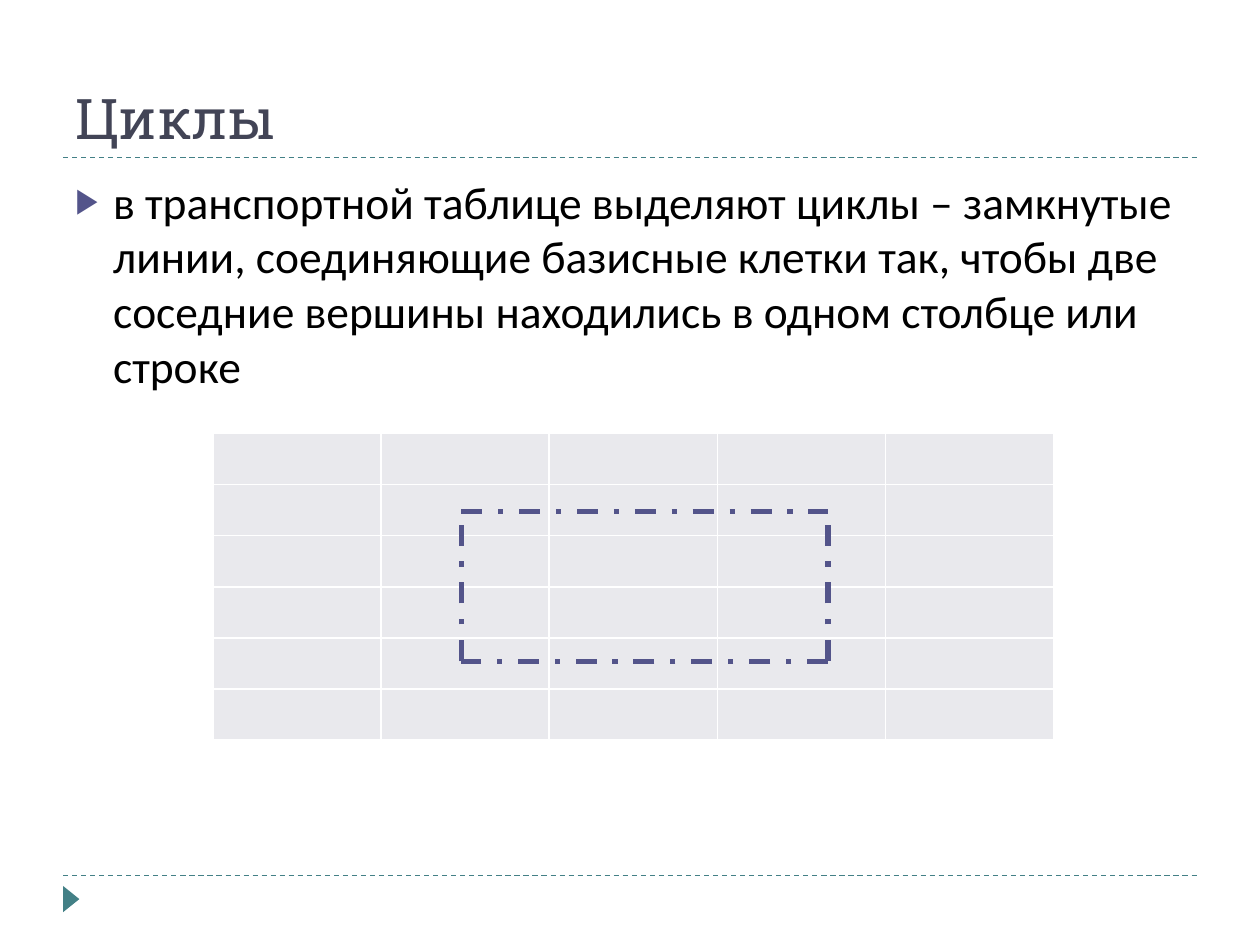
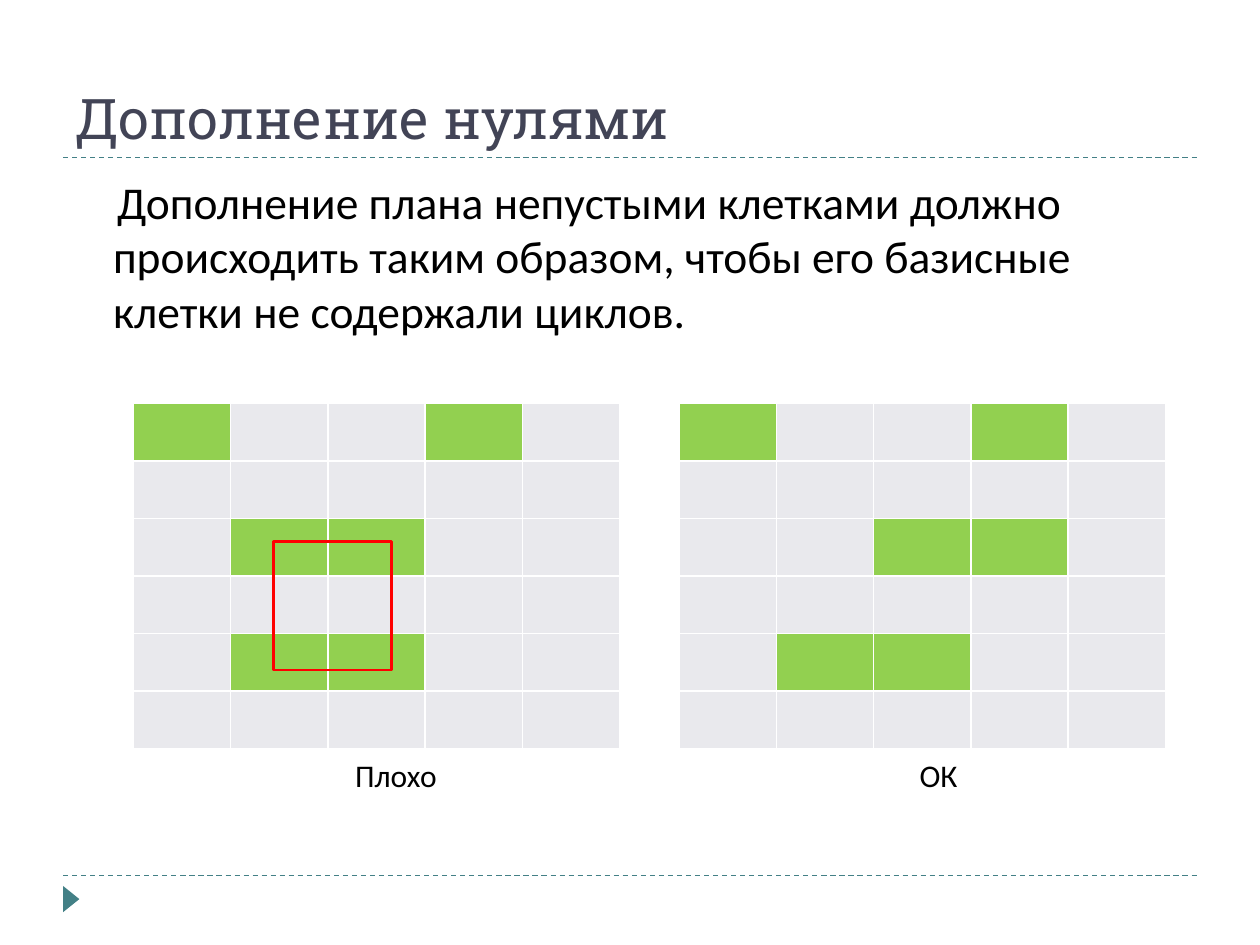
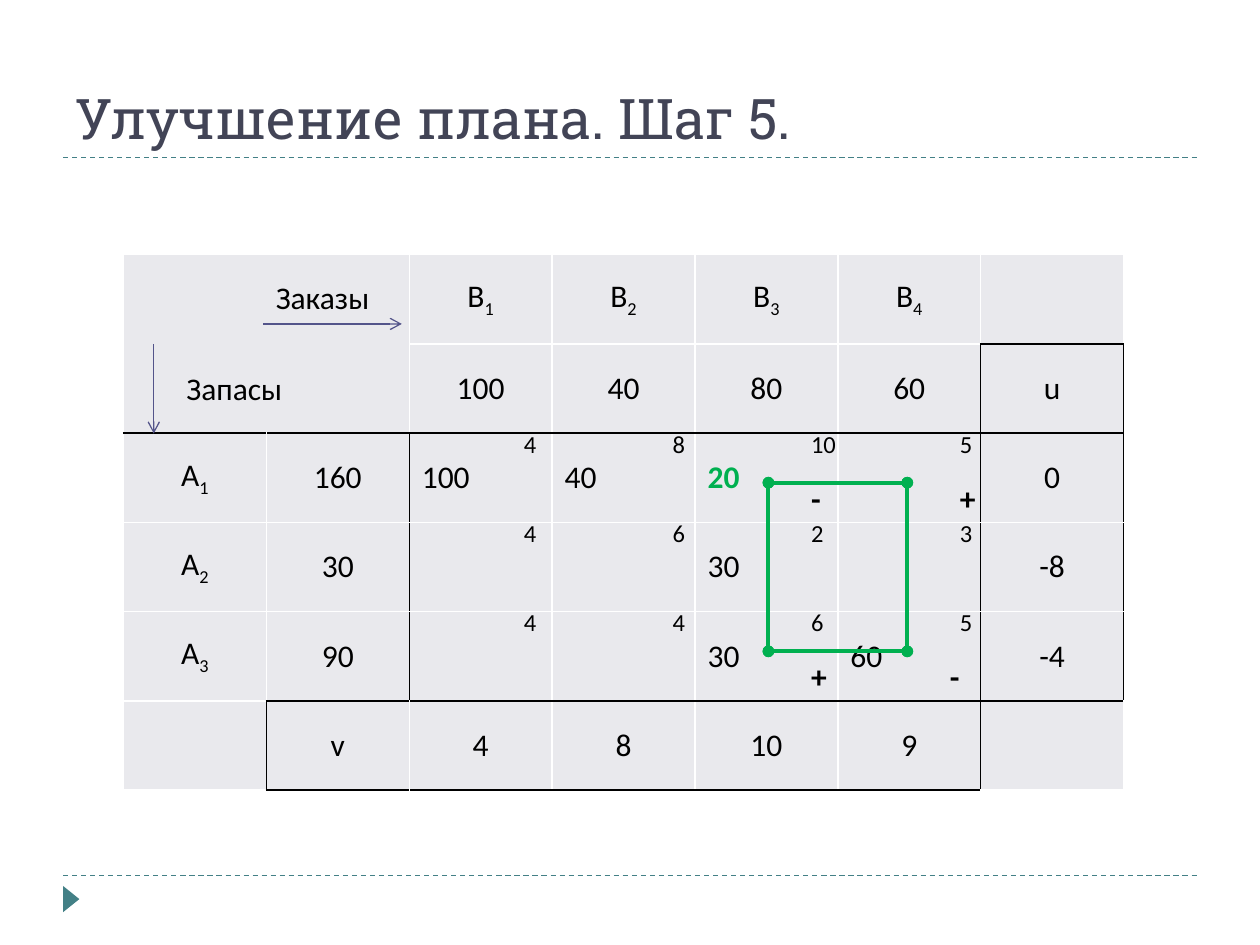
"""Build three slides on cycles in the transportation table."""
from lxml.etree import SubElement
from pptx import Presentation
from pptx.dml.color import RGBColor
from pptx.enum.dml import MSO_LINE
from pptx.enum.shapes import MSO_CONNECTOR, MSO_SHAPE
from pptx.enum.text import MSO_ANCHOR, PP_ALIGN
from pptx.oxml import parse_xml
from pptx.oxml.ns import nsdecls, qn
from pptx.util import Cm, Pt

BLACK = RGBColor(0x00, 0x00, 0x00)
WHITE = RGBColor(0xFF, 0xFF, 0xFF)
TEAL = RGBColor(0x43, 0x80, 0x86)
SLATE = RGBColor(0x42, 0x44, 0x56)
VIOLET = RGBColor(0x53, 0x54, 0x8A)
PALE = RGBColor(0xE9, 0xE9, 0xED)
LIME = RGBColor(0x92, 0xD0, 0x50)
GREEN = RGBColor(0x00, 0xB0, 0x50)
RED = RGBColor(0xFF, 0x00, 0x00)
BODY_FONT = "Calibri"
TITLE_FONT = "Roboto Slab"


def add_text(slide, box, text, size, font=BODY_FONT, color=BLACK, bold=False, wrap=True):
    """Add a one-paragraph text box and return its frame."""
    frame = slide.shapes.add_textbox(*map(Cm, box)).text_frame
    frame.word_wrap = wrap
    paragraph = frame.paragraphs[0]
    paragraph.text = text
    paragraph.font.name = font
    paragraph.font.size = Pt(size)
    paragraph.font.bold = bold
    paragraph.font.color.rgb = color
    return frame


def add_line(slide, start, end, color, width, dash=None, head=None, tail=None):
    """Add a straight line with optional dash and end marks."""
    connector = slide.shapes.add_connector(MSO_CONNECTOR.STRAIGHT, *map(Cm, start + end))
    connector.line.color.rgb = color
    connector.line.width = Pt(width)
    if dash:
        connector.line.dash_style = dash
    properties = connector._element.spPr
    for tag, mark in (("a:headEnd", head), ("a:tailEnd", tail)):
        if mark:
            SubElement(properties.find(qn("a:ln")), qn(tag), type=mark)
    SubElement(properties, qn("a:effectLst"))


presentation = Presentation()
presentation.slide_width = Cm(25.4)
presentation.slide_height = Cm(19.05)

slides = []
for title in ("Циклы", "Дополнение нулями", "Улучшение плана. Шаг 5."):
    slide = presentation.slides.add_slide(presentation.slide_layouts[6])
    slides.append(slide)
    for rule_top in (17.65, 3.18):
        add_line(slide, (1.27, rule_top), (24.13, rule_top), TEAL, 0.75, MSO_LINE.DASH)
    marker = slide.shapes.add_shape(
        MSO_SHAPE.ISOSCELES_TRIANGLE, Cm(1.17), Cm(17.96), Cm(0.53), Cm(0.33))
    marker.rotation = 90
    marker.shadow.inherit = False
    marker.fill.solid()
    marker.fill.fore_color.rgb = TEAL
    marker.line.fill.background()
    frame = add_text(slide, (1.27, 0.43, 22.86, 2.74), title, 32, TITLE_FONT, SLATE)
    frame.vertical_anchor = MSO_ANCHOR.BOTTOM
cycle_slide, zeros_slide, plan_slide = slides

bodies = [
    (cycle_slide, -0.76, True,
     "в транспортной таблице выделяют циклы – замкнутые линии, соединяющие базисные "
     "клетки так, чтобы две соседние вершины находились в одном столбце или строке"),
    (zeros_slide, 0.08, False,
     "Дополнение плана непустыми клетками должно происходить таким образом, "
     "чтобы его базисные клетки не содержали циклов."),
]
for slide, indent, bulleted, text in bodies:
    paragraph = add_text(slide, (1.27, 3.38, 22.86, 13.72), text, 26).paragraphs[0]
    paragraph.space_before = Pt(6)
    properties = paragraph._p.get_or_add_pPr()
    properties.set("marL", str(Cm(0.76)))
    properties.set("indent", str(Cm(indent)))
    if bulleted:
        bullet_parts = (
            f'<a:buClr {nsdecls("a")}><a:srgbClr val="{VIOLET}"/></a:buClr>',
            f'<a:buSzPct {nsdecls("a")} val="76000"/>',
            f'<a:buFont {nsdecls("a")} typeface="{BODY_FONT}"/>',
            f'<a:buChar {nsdecls("a")} char="▶"/>',
        )
        defaults = properties.find(qn("a:defRPr"))
        for part in bullet_parts:
            defaults.addprevious(parse_xml(part))

plan_rows = [
    ["", "", "B_1", "B_2", "B_3", "B_4", ""],
    ["", "", "100", "40", "80", "60", "u"],
    ["A_1", "160", "100", "40", "20", "", "0"],
    ["A_2", "30", "", "", "30", "", "-8"],
    ["A_3", "90", "", "", "30", "60", "-4"],
    ["", "v", "4", "8", "10", "9", ""],
]
empty_rows = [[""] * 5 for _ in range(6)]
black_rows = {1: range(6, 7), 2: range(7), 5: range(1, 7), 6: range(1, 6)}
black_columns = {1: range(5, 6), 2: range(2, 5), 6: range(1, 6), 7: range(1, 5)}
bad_cells = {(0, 0), (0, 3), (2, 1), (2, 2), (4, 1), (4, 2)}
good_cells = {(0, 0), (0, 3), (2, 2), (2, 3), (4, 1), (4, 2)}
tables = [
    (cycle_slide, 4.29, 8.74, 3.39, 1.03, empty_rows, set()),
    (zeros_slide, 2.69, 8.13, 1.96, 1.16, empty_rows, bad_cells),
    (zeros_slide, 13.69, 8.13, 1.96, 1.16, empty_rows, good_cells),
    (plan_slide, 2.49, 5.13, 2.88, 1.8, plan_rows, set()),
]
for slide, left, top, column_width, row_height, rows, green_cells in tables:
    column_count = len(rows[0])
    table = slide.shapes.add_table(
        len(rows), column_count, Cm(left), Cm(top),
        Cm(column_width * column_count), Cm(row_height * len(rows))).table
    table.first_row = False
    table.horz_banding = False
    for column in table.columns:
        column.width = Cm(column_width)
    for row in table.rows:
        row.height = Cm(row_height)
    is_plan = slide is plan_slide
    if is_plan:
        table.cell(0, 0).merge(table.cell(1, 1))
    for row_index, row_texts in enumerate(rows):
        for column_index, text in enumerate(row_texts):
            cell = table.cell(row_index, column_index)
            cell.fill.solid()
            cell.fill.fore_color.rgb = LIME if (row_index, column_index) in green_cells else PALE
            edges = (
                ("lnL", column_index in black_columns and row_index in black_columns[column_index]),
                ("lnR", row_index in black_columns.get(column_index + 1, ())),
                ("lnT", column_index in black_rows.get(row_index, ())),
                ("lnB", column_index in black_rows.get(row_index + 1, ())),
            )
            cell_properties = cell._tc.get_or_add_tcPr()
            for position, (tag, is_black) in enumerate(edges):
                color = BLACK if is_plan and is_black else WHITE
                cell_properties.insert(position, parse_xml(
                    f'<a:{tag} {nsdecls("a")} w="{Pt(1)}"><a:solidFill>'
                    f'<a:srgbClr val="{color}"/></a:solidFill></a:{tag}>'))
            if not text:
                continue
            cell.vertical_anchor = MSO_ANCHOR.MIDDLE
            paragraph = cell.text_frame.paragraphs[0]
            is_shipment = 2 <= row_index <= 4 and 2 <= column_index <= 5
            paragraph.alignment = PP_ALIGN.LEFT if is_shipment else PP_ALIGN.CENTER
            paragraph.font.name = BODY_FONT
            paragraph.font.size = Pt(18)
            is_new = is_shipment and text == "20"
            paragraph.font.bold = is_new
            paragraph.font.color.rgb = GREEN if is_new else BLACK
            letter, _, subscript = text.partition("_")
            paragraph.add_run().text = letter
            if subscript:
                run = paragraph.add_run()
                run.text = subscript
                run._r.get_or_add_rPr().set("baseline", "-25000")

bad_cycle = zeros_slide.shapes.add_shape(
    MSO_SHAPE.RECTANGLE, Cm(5.51), Cm(10.92), Cm(2.39), Cm(2.59))
bad_cycle.shadow.inherit = False
bad_cycle.fill.background()
bad_cycle.line.color.rgb = RED
bad_cycle.line.width = Pt(1.5)

costs = [["4", "8", "10", "5"], ["4", "6", "2", "3"], ["4", "4", "6", "5"]]
for row_index, row_costs in enumerate(costs):
    for left, cost in zip((10.31, 13.31, 16.1, 19.1), row_costs):
        add_text(plan_slide, (left, 8.53 + 1.79 * row_index, 1.19, 0.86), cost, 14)

add_line(plan_slide, (5.31, 6.53), (8.1, 6.53), VIOLET, 0.75, tail="arrow")
add_line(plan_slide, (3.1, 6.93), (3.1, 8.74), VIOLET, 0.75, tail="arrow")

cycles = [
    (cycle_slide, 9.3, 10.31, 16.69, 13.33, VIOLET, 3, MSO_LINE.DASH_DOT, None),
    (plan_slide, 15.49, 9.73, 18.29, 13.13, GREEN, 2.25, None, "oval"),
]
for slide, left, top, right, bottom, color, width, dash, mark in cycles:
    sides = (
        ((left, top), (right, top)),
        ((right, bottom), (right, top)),
        ((right, bottom), (left, bottom)),
        ((left, bottom), (left, top)),
    )
    for start, end in sides:
        add_line(slide, start, end, color, width, dash, mark, mark)

labels = [
    (zeros_slide, 18.29, 15.11, 1.3, "ОК", False),
    (zeros_slide, 6.91, 15.11, 2.18, "Плохо", False),
    (plan_slide, 5.31, 5.49, 2.41, "Заказы", False),
    (plan_slide, 3.51, 7.32, 2.46, "Запасы", False),
    (plan_slide, 19.1, 9.53, 0.84, "+", True),
    (plan_slide, 18.9, 13.13, 0.71, "-", True),
    (plan_slide, 16.1, 13.13, 0.84, "+", True),
    (plan_slide, 16.1, 9.53, 0.71, "-", True),
]
for slide, left, top, width, text, bold in labels:
    add_text(slide, (left, top, width, 1.02), text, 18, bold=bold, wrap=False)

presentation.save("out.pptx")
